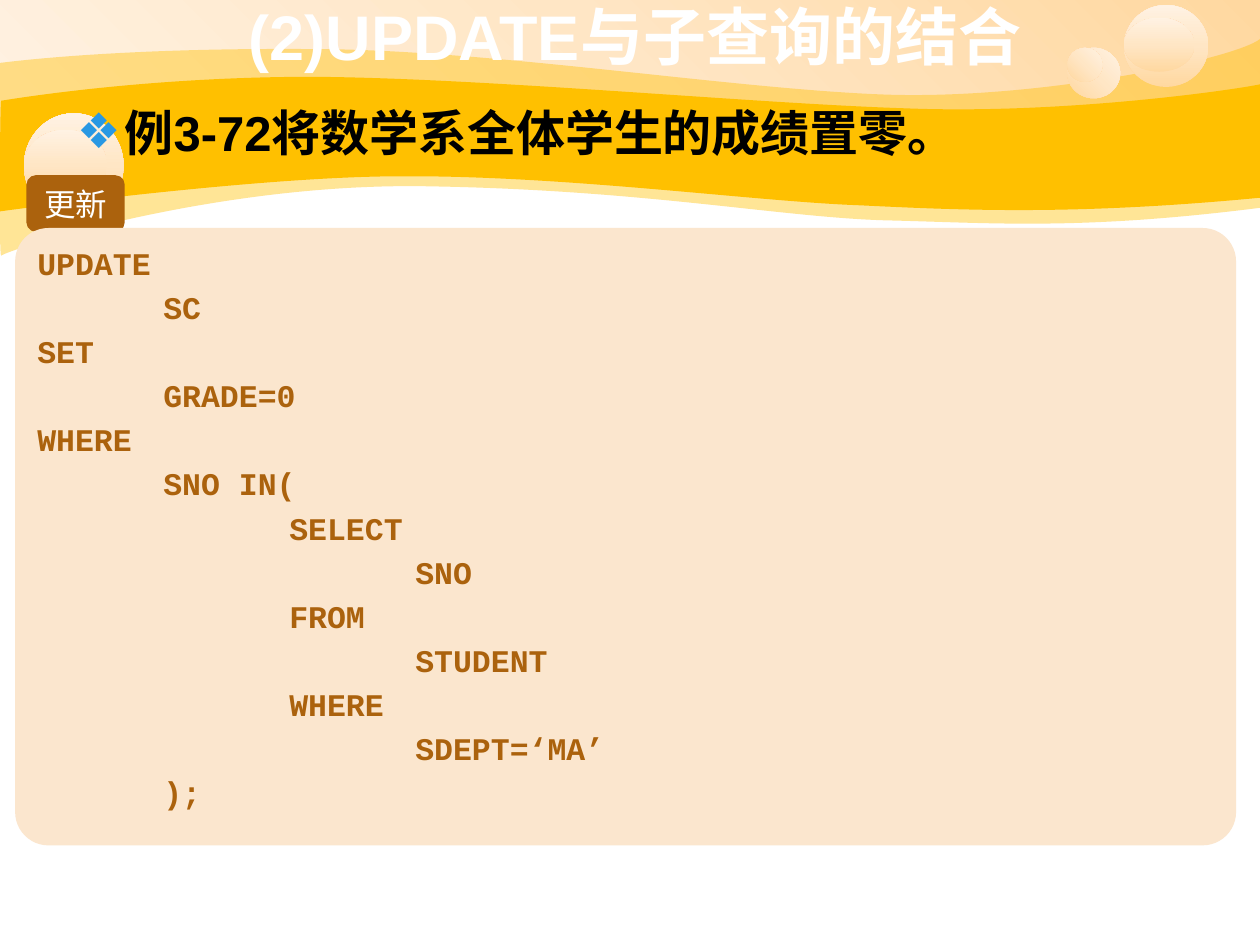
"""Build the slide on combining UPDATE with a subquery."""
from copy import deepcopy
from dataclasses import dataclass

from lxml import etree
from pptx import Presentation
from pptx.dml.color import RGBColor
from pptx.enum.shapes import MSO_SHAPE
from pptx.enum.text import MSO_ANCHOR, MSO_AUTO_SIZE, PP_ALIGN
from pptx.oxml.ns import qn
from pptx.util import Inches, Pt

RECT, OVAL, ROUNDED = MSO_SHAPE.RECTANGLE, MSO_SHAPE.OVAL, MSO_SHAPE.ROUNDED_RECTANGLE
LEFT, CENTER = PP_ALIGN.LEFT, PP_ALIGN.CENTER
TOP, MIDDLE = MSO_ANCHOR.TOP, MSO_ANCHOR.MIDDLE
NO_FIT = MSO_AUTO_SIZE.NONE


@dataclass(frozen=True)
class Theme:
    """Colours, fonts and type sizes of the slide."""
    glow: tuple = ("FFD8A0", "FFE6C5", "FFF2E3")
    wave: str = "FFC000"
    brown: str = "AB620D"
    panel: str = "FBE6CE"
    bullet: str = "2998E3"
    white: str = "FFFFFF"
    black: str = "000000"
    text_font: str = "Arial"
    code_font: str = "Courier New"
    label_font: str = "DejaVu Sans Mono"
    title_size: int = 36
    body_size: int = 28
    code_size: int = 18


THEME = Theme()

PALE_WAVE = [
    [(0, 0.5)],
    [(0.24, 0.47), (1.07, 0.38), (2.47, 0.39)],
    [(3.86, 0.39), (5.75, 0.7), (6.99, 0.75)],
    [(8.22, 0.8), (9.8, 0.47), (10, 0.31)],
    [(10, 1.65)],
    [(8.58, 1.83), (7.88, 1.77), (7.05, 1.75)],
    [(6.22, 1.73), (5.15, 1.51), (3.43, 1.48)],
    [(1.72, 1.44), (0.04, 1.99), (0.01, 2.03)],
    [(-0.01, 2.08), (0, 0.75), (0, 0.5)],
]
BRIGHT_WAVE = [
    [(0.01, 0.8)],
    [(0.02, 0.8), (1.1, 0.61), (2.48, 0.61)],
    [(3.86, 0.62), (5.95, 0.82), (7.18, 0.86)],
    [(8.41, 0.91), (9.76, 0.72), (10, 0.67)],
    [(10, 1.57)],
    [(8.53, 1.71), (7.65, 1.67), (6.82, 1.63)],
    [(5.99, 1.6), (4.47, 1.39), (3.17, 1.4)],
    [(2.03, 1.4), (-0.02, 1.68), (-0.01, 1.68)],
    [(0, 1.68), (0, 0.8), (0.01, 0.8)],
]
BUBBLES = [
    ((8.47, 0.38, 0.42, 0.4), 315),
    ((8.47, 0.38, 0.28, 0.27), 315),
    ((8.92, 0.04, 0.67, 0.65), 270),
    ((8.92, 0.14, 0.56, 0.43), 270),
    ((0.19, 0.9, 0.79, 0.83), 270),
    ((0.19, 1.03, 0.66, 0.56), 270),
]
CODE = [
    "UPDATE", "\tSC", "SET", "\tGRADE=0", "WHERE", "\tSNO IN(",
    "\t\tSELECT", "\t\t\tSNO", "\t\tFROM", "\t\t\tSTUDENT",
    "\t\tWHERE", "\t\t\tSDEPT=‘MA’", "\t);",
]


def fill_solid(shape, color):
    """Give a shape one flat colour without line or shadow."""
    shape.fill.solid()
    shape.fill.fore_color.rgb = RGBColor.from_string(color)
    shape.line.fill.background()
    shape.shadow.inherit = False


def add_block(slide, kind, box, color):
    """Add a flat preset shape."""
    block = slide.shapes.add_shape(kind, *map(Inches, box))
    fill_solid(block, color)
    return block


def add_glow(slide, kind, box, clockwise_angle):
    """Add a preset shape with the three-step peach gradient."""
    glow = add_block(slide, kind, box, THEME.glow[0])
    glow.fill.gradient()
    glow.fill.gradient_angle = 360 - clockwise_angle
    stop_list = next(glow.element.iter(qn("a:gsLst")))
    stop_list.insert(1, deepcopy(stop_list[0]))
    for step, (stop, color) in enumerate(zip(glow.fill.gradient_stops, THEME.glow)):
        stop.position = step / 2
        stop.color.rgb = RGBColor.from_string(color)


def bend(wave, parts):
    """Turn each group of three edges into one Bezier curve."""
    edges = iter(list(wave.element.iter(qn("a:lnTo"))))
    for part in parts:
        group = [next(edges) for _ in part]
        if len(group) == 3:
            curve = etree.Element(qn("a:cubicBezTo"))
            group[0].addprevious(curve)
            for edge in group:
                curve.append(edge[0])
                edge.getparent().remove(edge)


def add_wave(slide, outline, opacity=100):
    """Add a wave whose outline mixes curves and straight edges."""
    start, *points = [(Inches(x), Inches(y)) for part in outline for x, y in part]
    builder = slide.shapes.build_freeform(*start)
    builder.add_line_segments(points, close=True)
    wave = builder.convert_to_shape()
    bend(wave, outline[1:])
    fill_solid(wave, THEME.wave)
    if opacity < 100:
        color = next(wave.element.spPr.iter(qn("a:srgbClr")))
        etree.SubElement(color, qn("a:alpha"), val=str(opacity * 1000))


def write(shape, lines, font, size, color, bold=True, align=LEFT, anchor=TOP, before=0):
    """Set the lines of a shape and format them alike."""
    frame = shape.text_frame
    frame.text = "\n".join(lines)
    frame.word_wrap = True
    frame.auto_size = NO_FIT
    frame.vertical_anchor = anchor
    for paragraph in frame.paragraphs:
        paragraph.alignment = align
        paragraph.space_before = Pt(before)
        for run in paragraph.runs:
            run.font.name = font
            run.font.size = Pt(size)
            run.font.bold = bold
            run.font.color.rgb = RGBColor.from_string(color)


def set_tab_step(shape, step):
    """Set the distance between default tab stops."""
    for paragraph in shape.text_frame.paragraphs:
        paragraph._p.get_or_add_pPr().set("defTabSz", str(Inches(step)))


def place(placeholder, box):
    """Move a placeholder in front of everything drawn so far."""
    placeholder.left, placeholder.top, placeholder.width, placeholder.height = map(Inches, box)
    placeholder.element.getparent().append(placeholder.element)


def add_bullet(paragraph, symbol, color, indent):
    """Give a paragraph a coloured bullet and a hanging indent."""
    properties = paragraph._p.get_or_add_pPr()
    properties.set("marL", str(Inches(indent)))
    properties.set("indent", str(-Inches(indent)))
    bullet_color = etree.SubElement(properties, qn("a:buClr"))
    etree.SubElement(bullet_color, qn("a:srgbClr"), val=color)
    etree.SubElement(properties, qn("a:buChar"), char=symbol)


def add_background(slide):
    """Draw the header glow, the waves and the bubbles."""
    add_glow(slide, RECT, (0, 0, 10, 1.15), 135)
    add_wave(slide, PALE_WAVE, opacity=41)
    add_wave(slide, BRIGHT_WAVE)
    for box, angle in BUBBLES:
        add_glow(slide, OVAL, box, angle)


def main():
    """Build and save the slide."""
    deck = Presentation()
    deck.slide_width, deck.slide_height = Inches(10), Inches(7.5)
    slide = deck.slides.add_slide(deck.slide_layouts[1])
    title, body = slide.placeholders
    add_background(slide)

    place(title, (1, -0.03, 8.08, 0.62))
    write(title, ["(2)UPDATE与子查询的结合"], THEME.text_font, THEME.title_size,
          THEME.white, align=CENTER, anchor=MIDDLE)
    place(body, (0.51, 0.76, 9.61, 4.19))
    write(body, ["例3-72将数学系全体学生的成绩置零。"], THEME.text_font,
          THEME.body_size, THEME.black, before=9)
    add_bullet(body.text_frame.paragraphs[0], "❖", THEME.bullet, 0.38)

    label = add_block(slide, ROUNDED, (0.21, 1.39, 0.78, 0.45), THEME.brown)
    write(label, ["更新"], THEME.label_font, THEME.code_size, THEME.white,
          bold=False, align=CENTER, anchor=MIDDLE)
    panel = add_block(slide, ROUNDED, (0.12, 1.81, 9.69, 4.9), THEME.panel)
    panel.adjustments[0] = 0.054
    write(panel, CODE, THEME.code_font, THEME.code_size, THEME.brown, before=3.6)
    set_tab_step(panel, 1)
    deck.save("out.pptx")


if __name__ == "__main__":
    main()
